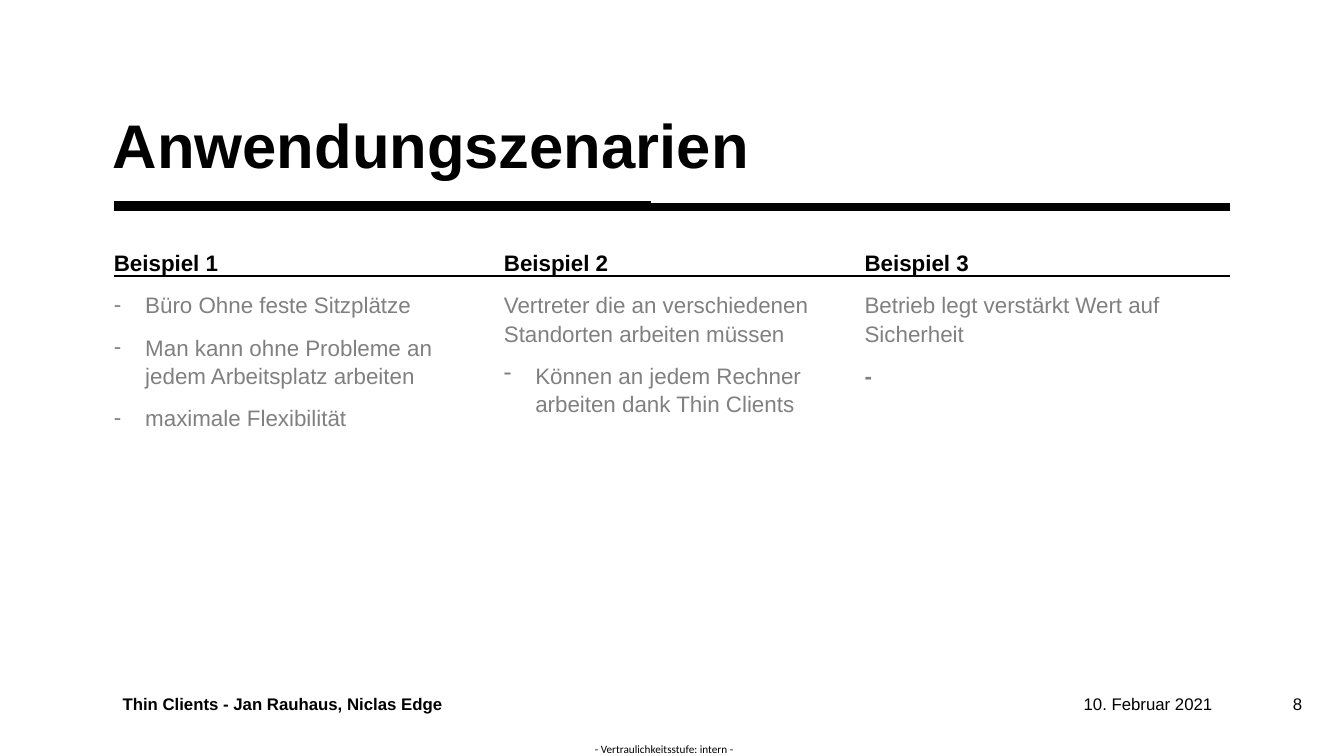
"""Builds the slide on use cases for thin clients."""
from dataclasses import dataclass

from lxml.etree import SubElement
from pptx import Presentation
from pptx.dml.color import RGBColor
from pptx.enum.shapes import MSO_CONNECTOR
from pptx.enum.text import MSO_ANCHOR, MSO_AUTO_SIZE, PP_ALIGN
from pptx.oxml.ns import qn
from pptx.util import Cm, Pt

TITLE = "Anwendungszenarien"
HEAD, TEXT, ITEM, MARK = "head", "text", "item", "mark"
COLS = [
    ((2.87, 6.25, 8.36, 9.91), [
        (HEAD, "Beispiel 1"),
        (ITEM, "Büro Ohne feste Sitzplätze"),
        (ITEM, "Man kann ohne Probleme an jedem Arbeitsplatz arbeiten"),
        (ITEM, "maximale Flexibilität"),
    ]),
    ((12.7, 6.25, 8.92, 10.01), [
        (HEAD, "Beispiel 2"),
        (TEXT, "Vertreter die an verschiedenen Standorten arbeiten müssen"),
        (ITEM, "Können an jedem Rechner arbeiten dank Thin Clients"),
    ]),
    ((21.79, 6.25, 8.15, 9.04), [
        (HEAD, "Beispiel 3"),
        (TEXT, "Betrieb legt verstärkt Wert auf Sicherheit"),
        (MARK, "-"),
    ]),
]
LEFT, RIGHT = 2.87, 30.99
RULES = [(5.18, 16.41, 6), (5.21, RIGHT, 6), (6.96, RIGHT, 1.5)]


@dataclass(frozen=True)
class Theme:
    """Holds the fonts, colours and type sizes."""
    font: str = "Arial"
    plain: str = "Calibri"
    ink: RGBColor = RGBColor(0, 0, 0)
    grey: RGBColor = RGBColor(128, 128, 128)
    title: Pt = Pt(44)
    body: Pt = Pt(16)
    foot: Pt = Pt(12)
    note: Pt = Pt(8)
    gap: Pt = Pt(10)


LOOK = Theme()
STYLES = {
    HEAD: dict(bold=True, color=LOOK.ink),
    TEXT: dict(bold=False, color=LOOK.grey),
    ITEM: dict(bold=False, color=LOOK.grey),
    MARK: dict(bold=True, color=LOOK.grey),
}
FOOT = [
    ("10. Februar 2021", (27.31, 17.48, 4.24, 0.51), 0,
     dict(size=LOOK.foot), PP_ALIGN.LEFT),
    ("Thin Clients - Jan Rauhaus, Niclas Edge", (2.84, 17.48, 24.26, 0.51),
     0.25, dict(size=LOOK.foot, bold=True), PP_ALIGN.LEFT),
    ("8", (31.93, 17.48, 1.14, 0.51), 0.25,
     dict(size=LOOK.foot), PP_ALIGN.RIGHT),
    ("- Vertraulichkeitsstufe: intern -", (14.91, 18.72, 3.66, 0.33), 0,
     dict(size=LOOK.note, name=LOOK.plain), PP_ALIGN.CENTER),
]


def apply(part, form):
    """Sets each attribute named in form."""
    for name, value in form.items():
        setattr(part, name, value)


def place(shape, box, side=0, anchor=MSO_ANCHOR.TOP):
    """Moves a shape and sets up its text frame."""
    apply(shape, dict(zip(("left", "top", "width", "height"), map(Cm, box))))
    apply(shape.text_frame, dict(
        word_wrap=True, auto_size=MSO_AUTO_SIZE.NONE, vertical_anchor=anchor,
        margin_left=Cm(side), margin_right=Cm(side),
        margin_top=0, margin_bottom=0))
    return shape.text_frame


def write(para, text, form, color=LOOK.ink, **lay):
    """Writes one formatted paragraph."""
    run = para.add_run()
    run.text = text
    apply(run.font, {"name": LOOK.font, **form})
    run.font.color.rgb = color
    apply(para, lay)


def bullet(para, dash):
    """Gives a paragraph a hanging dash or no bullet."""
    props = para._p.get_or_add_pPr()
    inset = Cm(0.79) if dash else 0
    props.set("marL", str(inset))
    props.set("indent", str(-inset))
    if dash:
        SubElement(props, qn("a:buChar")).set("char", "-")
    else:
        SubElement(props, qn("a:buNone"))


def fill(frame, rows):
    """Fills a column with its heading and rows."""
    for i, (kind, text) in enumerate(rows):
        para = frame.add_paragraph() if i else frame.paragraphs[0]
        style = STYLES[kind]
        write(para, text, dict(size=LOOK.body, bold=style["bold"]),
              style["color"], alignment=PP_ALIGN.LEFT, line_spacing=1.05,
              space_before=LOOK.gap, space_after=0)
        bullet(para, kind == ITEM)


def rule(slide, top, end, width):
    """Draws a level line from the left margin."""
    line = slide.shapes.add_connector(
        MSO_CONNECTOR.STRAIGHT, Cm(LEFT), Cm(top), Cm(end), Cm(top))
    line.line.color.rgb = LOOK.ink
    line.line.width = Pt(width)
    SubElement(line._element.spPr, qn("a:effectLst"))


def main():
    """Builds and saves the deck."""
    deck = Presentation()
    apply(deck, dict(slide_width=Cm(33.87), slide_height=Cm(19.05)))
    slide = deck.slides.add_slide(deck.slide_layouts[1])
    shapes = slide.shapes

    frame = place(shapes.title, (2.84, 2.77, 16.89, 1.8),
                  anchor=MSO_ANCHOR.BOTTOM)
    write(frame.paragraphs[0], TITLE, dict(size=LOOK.title, bold=True),
          alignment=PP_ALIGN.LEFT, line_spacing=0.9)

    for i, (box, rows) in enumerate(COLS):
        shape = shapes.add_textbox(0, 0, 0, 0) if i else slide.placeholders[1]
        fill(place(shape, box), rows)

    for text, box, side, form, align in FOOT:
        frame = place(shapes.add_textbox(0, 0, 0, 0), box, side,
                      MSO_ANCHOR.MIDDLE)
        write(frame.paragraphs[0], text, form, alignment=align)

    for top, end, width in RULES:
        rule(slide, top, end, width)
    deck.save("out.pptx")


if __name__ == "__main__":
    main()
